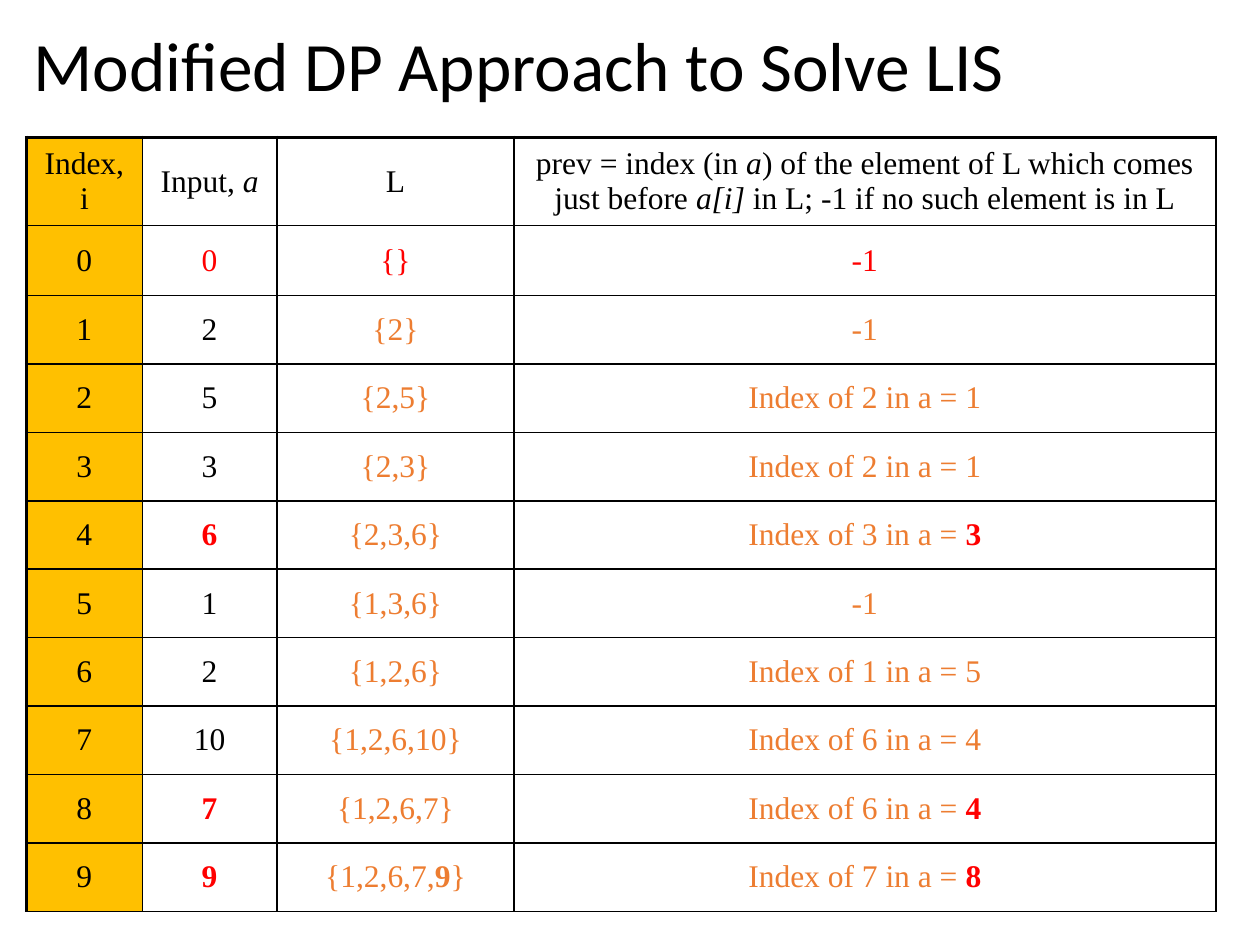
from dataclasses import dataclass

from lxml.etree import SubElement
from pptx import Presentation
from pptx.dml.color import RGBColor
from pptx.enum.text import MSO_ANCHOR, PP_ALIGN
from pptx.oxml.ns import qn
from pptx.util import Pt


@dataclass(frozen=True)
class Theme:
    """Hold the colours, fonts and sizes of the slide."""
    black: str = "000000"
    gold: str = "FFC000"
    red: str = "FF0000"
    orange: str = "ED7D31"
    head: str = "Calibri"
    body: str = "Times New Roman"
    big: float = 39.6
    small: float = 18
    thin: float = 1
    thick: float = 2.25


THEME = Theme()
WIDTHS = (66.2, 77, 135.4, 401.1)
HEIGHTS = (46.3, 40, *[39.1] * 9)
LABELS = ("Index, i", "Input, |a", "L",
          "prev = index (in |a|) of the element of L which comes just before "
          "|a[i]| in L; -1 if no such element is in L")
STEPS = (
    ("0", "{}", "-1"),
    ("2", "{2}", "-1"),
    ("5", "{2,5}", "Index of 2 in a = 1"),
    ("3", "{2,3}", "Index of 2 in a = 1"),
    ("|6", "{2,3,6}", "Index of 3 in a = |3"),
    ("1", "{1,3,6}", "-1"),
    ("2", "{1,2,6}", "Index of 1 in a = 5"),
    ("10", "{1,2,6,10}", "Index of 6 in a = 4"),
    ("|7", "{1,2,6,7}", "Index of 6 in a = |4"),
    ("|9", "{1,2,6,7,|9|}", "Index of 7 in a = |8"),
)


def write(frame, text, font=THEME.body, size=THEME.small, color=THEME.black,
          align=PP_ALIGN.CENTER, space=None, mark=None, bold=False, italic=False):
    """Write text in a frame, giving each second piece between bars the marked format."""
    para = frame.paragraphs[0]
    para.alignment = align
    if space:
        para.line_spacing = space
    for num, piece in enumerate(text.split("|")):
        if piece:
            odd = num % 2 == 1
            run = para.add_run()
            run.text = piece
            run.font.name = font
            run.font.size = Pt(size)
            run.font.bold = odd and bold
            run.font.italic = odd and italic
            run.font.color.rgb = RGBColor.from_string(mark if odd and mark else color)


def edge(cell, **sides):
    """Draw the borders of a cell, with a width in points for each side."""
    props = cell._tc.get_or_add_tcPr()
    for spot, (side, width) in enumerate(sides.items()):
        line = SubElement(props, qn(f"a:{side}"), w=str(Pt(width)))
        fill = SubElement(line, qn("a:solidFill"))
        SubElement(fill, qn("a:srgbClr"), val=THEME.black)
        props.remove(line)
        props.insert(spot, line)


def title(slide, left, top, width, height):
    """Place the slide title in its box."""
    frame = slide.shapes.add_textbox(Pt(left), Pt(top), Pt(width), Pt(height)).text_frame
    frame.word_wrap = True
    frame.vertical_anchor = MSO_ANCHOR.MIDDLE
    write(frame, "Modified DP Approach to Solve LIS", font=THEME.head,
          size=THEME.big, align=PP_ALIGN.LEFT, space=0.9)


def style(row, col):
    """Give the text format that belongs to a row and column of the grid."""
    if row == 0:
        return {"italic": True}
    if col == 0:
        return {}
    if row == 1:
        return {"color": THEME.red}
    tint = THEME.black if col == 1 else THEME.orange
    mark = THEME.orange if col == 2 else THEME.red
    return {"color": tint, "mark": mark, "bold": True}


def grid(slide, left, top):
    """Place the table of steps with its corner at the given point."""
    rows = [LABELS, *((str(num), *step) for num, step in enumerate(STEPS))]
    table = slide.shapes.add_table(len(rows), len(WIDTHS), Pt(left), Pt(top),
                                   Pt(sum(WIDTHS)), Pt(sum(HEIGHTS))).table
    table.first_row = table.horz_banding = False
    for col, width in zip(table.columns, WIDTHS):
        col.width = Pt(width)
    for row, (line, height) in enumerate(zip(rows, HEIGHTS)):
        table.rows[row].height = Pt(height)
        for col, text in enumerate(line):
            cell = table.cell(row, col)
            cell.vertical_anchor = MSO_ANCHOR.MIDDLE
            if col == 0:
                cell.fill.solid()
                cell.fill.fore_color.rgb = RGBColor.from_string(THEME.gold)
            else:
                cell.fill.background()
            edge(cell, lnL=THEME.thin if col else THEME.thick, lnR=THEME.thin,
                 lnT=THEME.thin if row else THEME.thick, lnB=THEME.thin)
            write(cell.text_frame, text, **style(row, col))


def main():
    """Build the slide and save it."""
    deck = Presentation()
    deck.slide_width, deck.slide_height = Pt(720), Pt(540)
    slide = deck.slides.add_slide(deck.slide_layouts[6])
    title(slide, 12.2, 13, 692.6, 53.3)
    grid(slide, 15.1, 78.5)
    deck.save("out.pptx")


main()
